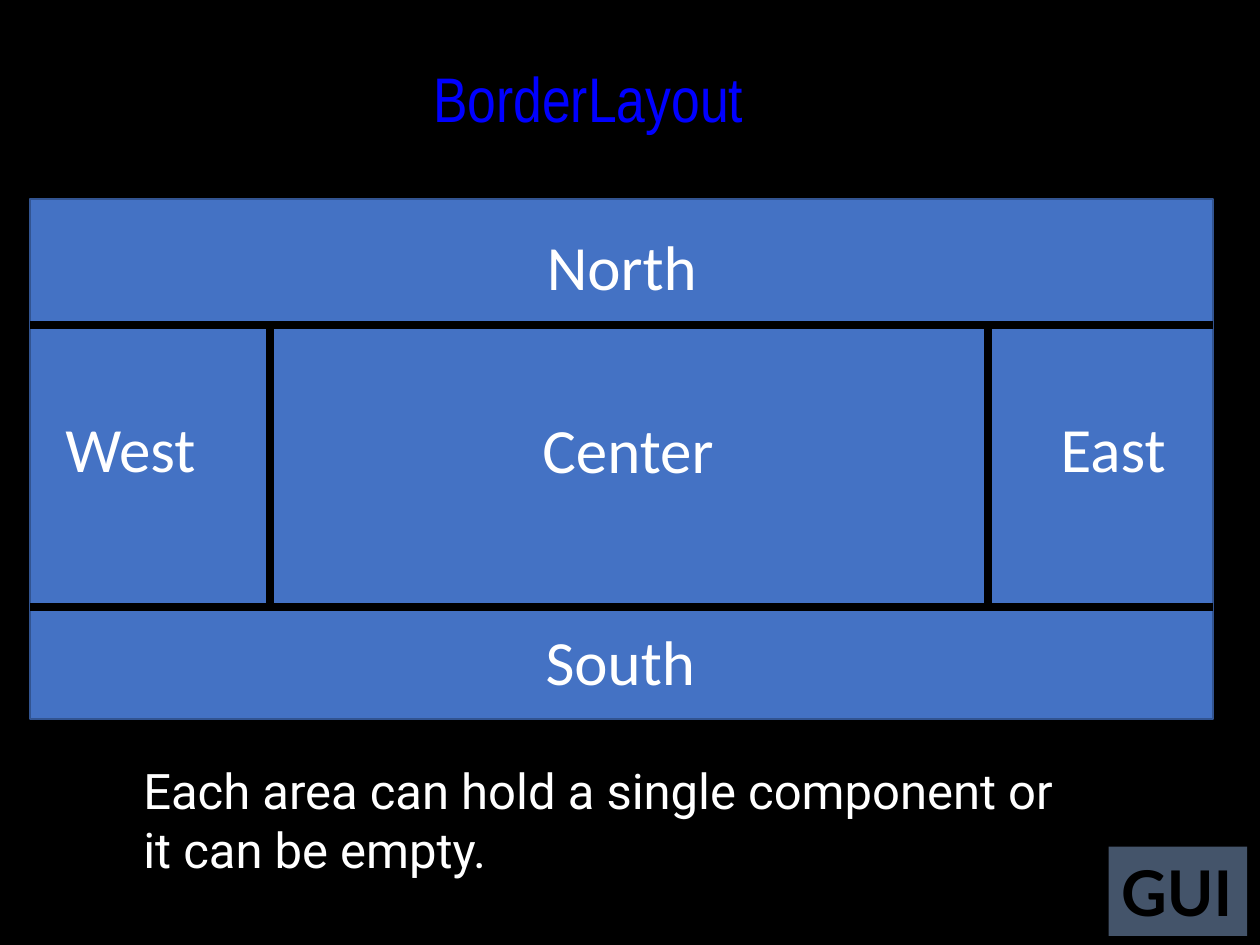
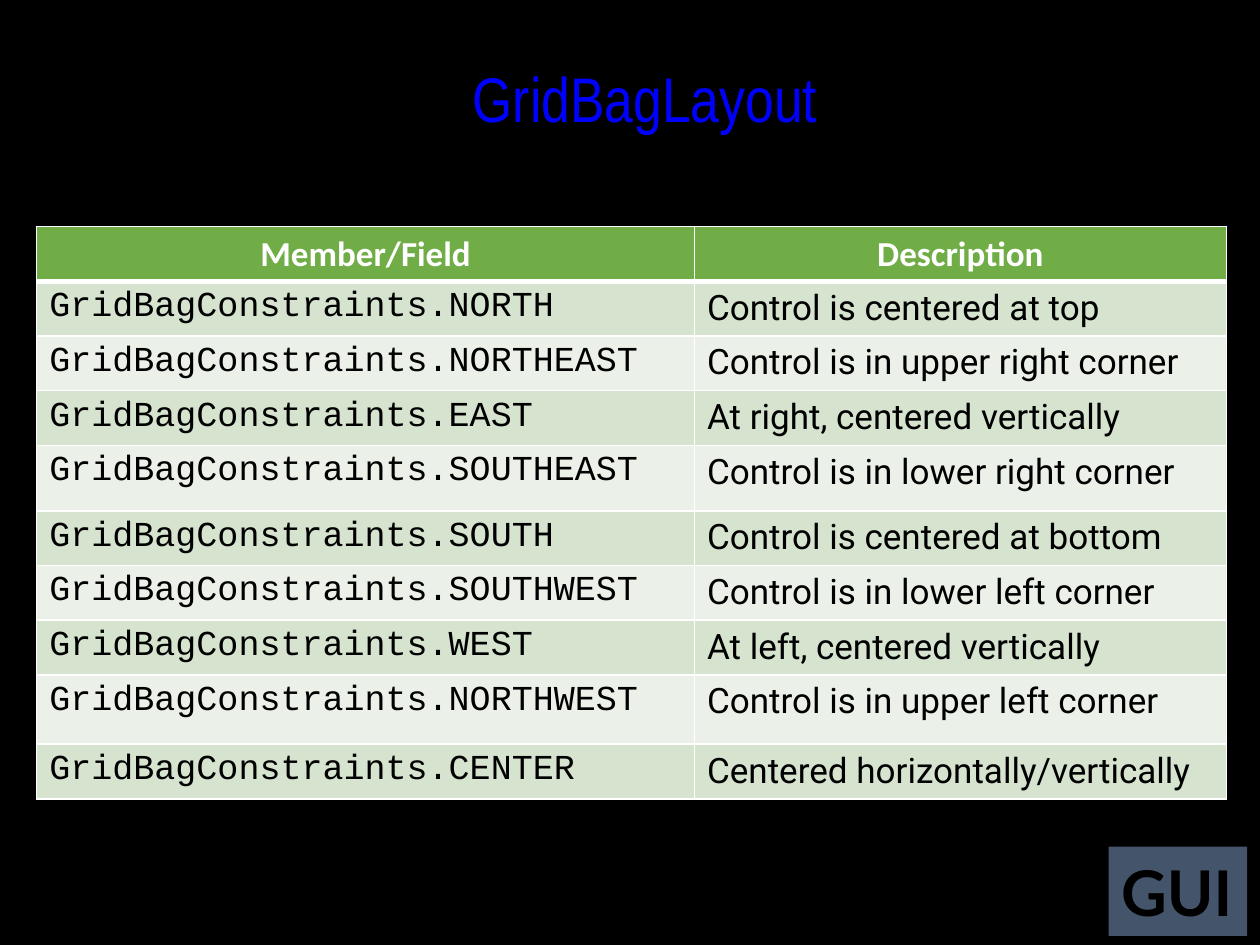
import pptx
import pptx.dml.color
import pptx.enum.shapes
import pptx.enum.text
import pptx.util
from lxml import etree
from pptx.oxml.ns import qn

Cm = pptx.util.Cm
Pt = pptx.util.Pt
SHAPES = pptx.enum.shapes.MSO_SHAPE
CONNECTORS = pptx.enum.shapes.MSO_CONNECTOR
ALIGN = pptx.enum.text.PP_ALIGN

COLORS = {
    "background": "000000", "black": "000000", "white": "FFFFFF",
    "title": "0000FF", "badge": "44546A",
    "area": "4472C4", "area_edge": "325491",
    "header": "70AD47", "odd_row": "D5E3CF", "even_row": "EBF1E9",
}


def color(name):
    return pptx.dml.color.RGBColor.from_string(COLORS[name])


def write_text(frame, text, font="Calibri", size=36, ink="white",
               bold=False, align=ALIGN.LEFT, wrap=True):
    frame.word_wrap = wrap
    paragraph = frame.paragraphs[0]
    paragraph.alignment = align
    run = paragraph.add_run()
    run.text = text
    run.font.name = font
    run.font.size = Pt(size)
    run.font.bold = bold
    run.font.color.rgb = color(ink)


class Deck:
    """Holds the shared style and the slide being built."""

    def __init__(self):
        self.presentation = pptx.Presentation()
        self.presentation.slide_width = Cm(25.4)
        self.presentation.slide_height = Cm(19.05)
        fill = self.presentation.slide_master.background.fill
        fill.solid()
        fill.fore_color.rgb = color("background")
        self.slide = None

    def start_slide(self, title, title_width):
        self.slide = self.presentation.slides.add_slide(
            self.presentation.slide_layouts[6])
        badge = self.rectangle(22.35, 17.07, 2.79, 1.8, "badge")
        write_text(badge.text_frame, "GUI", font="Lato", ink="black", bold=True)
        self.text(title, 2.97, 1.07, title_width, 1.9, font="Arial Narrow",
                  ink="title", align=ALIGN.CENTER, wrap=False)

    def rectangle(self, left, top, width, height, fill, edge=None):
        shape = self.slide.shapes.add_shape(
            SHAPES.RECTANGLE, Cm(left), Cm(top), Cm(width), Cm(height))
        shape.shadow.inherit = False
        shape.fill.solid()
        shape.fill.fore_color.rgb = color(fill)
        if edge:
            shape.line.color.rgb = color(edge)
            shape.line.width = Pt(1)
        else:
            shape.line.fill.background()
        return shape

    def text(self, text, left, top, width, height, **style):
        box = self.slide.shapes.add_textbox(
            Cm(left), Cm(top), Cm(width), Cm(height))
        write_text(box.text_frame, text, **style)

    def divider(self, x1, y1, x2, y2):
        line = self.slide.shapes.add_connector(
            CONNECTORS.STRAIGHT, Cm(x1), Cm(y1), Cm(x2), Cm(y2))
        line.line.color.rgb = color("black")
        line.line.width = Pt(4.5)
        etree.SubElement(line._element.spPr, qn("a:effectLst"))

    def cell(self, cell, text, fill, top_border=1, bottom_border=1, **style):
        properties = cell._tc.get_or_add_tcPr()
        borders = {"a:lnL": 1, "a:lnR": 1,
                   "a:lnT": top_border, "a:lnB": bottom_border}
        for tag, points in borders.items():
            border = etree.SubElement(properties, qn(tag), w=str(Pt(points)))
            solid = etree.SubElement(border, qn("a:solidFill"))
            etree.SubElement(solid, qn("a:srgbClr"), val=COLORS["white"])
        cell.fill.solid()
        cell.fill.fore_color.rgb = color(fill)
        write_text(cell.text_frame, text, size=20, **style)

    def table(self, left, top, widths, heights, headings, rows, fonts):
        table = self.slide.shapes.add_table(
            len(heights), len(widths), Cm(left), Cm(top),
            Cm(sum(widths)), Cm(sum(heights))).table
        table.first_row = table.horz_banding = False
        for column, width in zip(table.columns, widths):
            column.width = Cm(width)
        for row, height in zip(table.rows, heights):
            row.height = Cm(height)
        for column, heading in enumerate(headings):
            self.cell(table.cell(0, column), heading, "header",
                      bottom_border=3, bold=True, align=ALIGN.CENTER)
        for number, row in enumerate(rows, start=1):
            fill = "odd_row" if number % 2 else "even_row"
            for column, (text, font) in enumerate(zip(row, fonts)):
                self.cell(table.cell(number, column), text, fill,
                          top_border=3 if number == 1 else 1,
                          font=font, ink="black")


def border_layout(deck):
    deck.start_slide("BorderLayout", 17.78)
    deck.text("Each area can hold a single component or it can be empty.",
              2.64, 15.21, 19.33, 2.64, font="Roboto", size=28)

    # Frame and the dividers between its five areas
    left, top, width, height = 0.61, 4.01, 23.85, 10.49
    middle_top, middle_bottom = 6.55, 12.24
    deck.rectangle(left, top, width, height, "area", edge="area_edge")
    for y in (middle_top, middle_bottom):
        deck.divider(left, y, left + width, y)
    for x in (5.44, 19.91):
        deck.divider(x, middle_top, x, middle_bottom)

    # Area names
    for name, x, y, label_width in (
            ("North", 10.77, 4.47, 3.53), ("South", 10.74, 12.42, 3.53),
            ("Center", 10.64, 8.15, 4.04), ("East", 20.42, 8.13, 4.04),
            ("West", 0.61, 8.13, 4.04)):
        deck.text(name, x, y, label_width, 1.8, align=ALIGN.CENTER)


def grid_bag_layout(deck):
    deck.start_slide("GridBagLayout", 20.07)

    # Anchor constants and their meaning
    anchors = {
        "NORTH": "Control is centered at top",
        "NORTHEAST": "Control is in upper right corner",
        "EAST": "At right, centered vertically",
        "SOUTHEAST": "Control is in lower right corner",
        "SOUTH": "Control is centered at bottom",
        "SOUTHWEST": "Control is in lower left corner",
        "WEST": "At left, centered vertically",
        "NORTHWEST": "Control is in upper left corner",
        "CENTER": "Centered horizontally/vertically",
    }
    rows = [("GridBagConstraints." + name, meaning)
            for name, meaning in anchors.items()]
    heights = [1.04] * (len(rows) + 1)
    heights[4], heights[8] = 1.32, 1.4
    deck.table(0.74, 4.57, [13.26, 10.72], heights,
               ("Member/Field", "Description"), rows,
               ("Courier New", "Roboto"))


def main():
    deck = Deck()
    border_layout(deck)
    grid_bag_layout(deck)
    deck.presentation.save("out.pptx")


if __name__ == "__main__":
    main()
